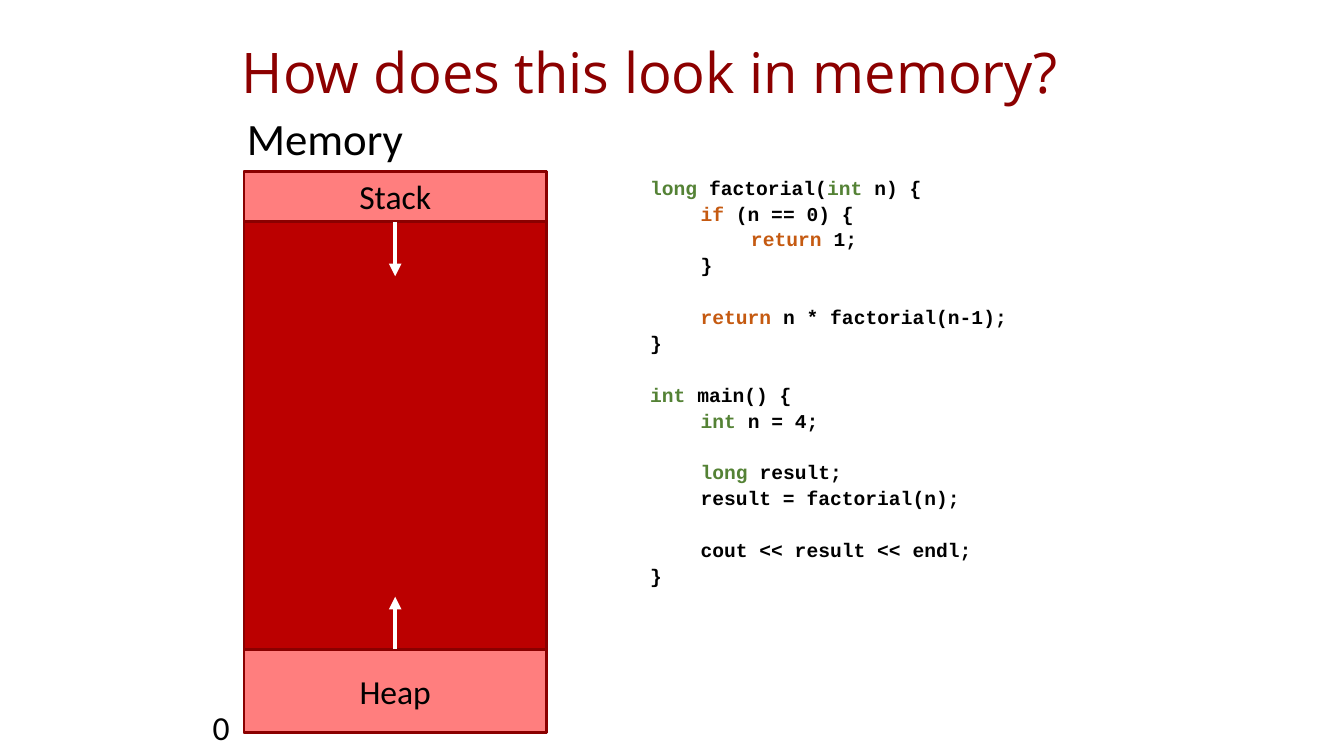
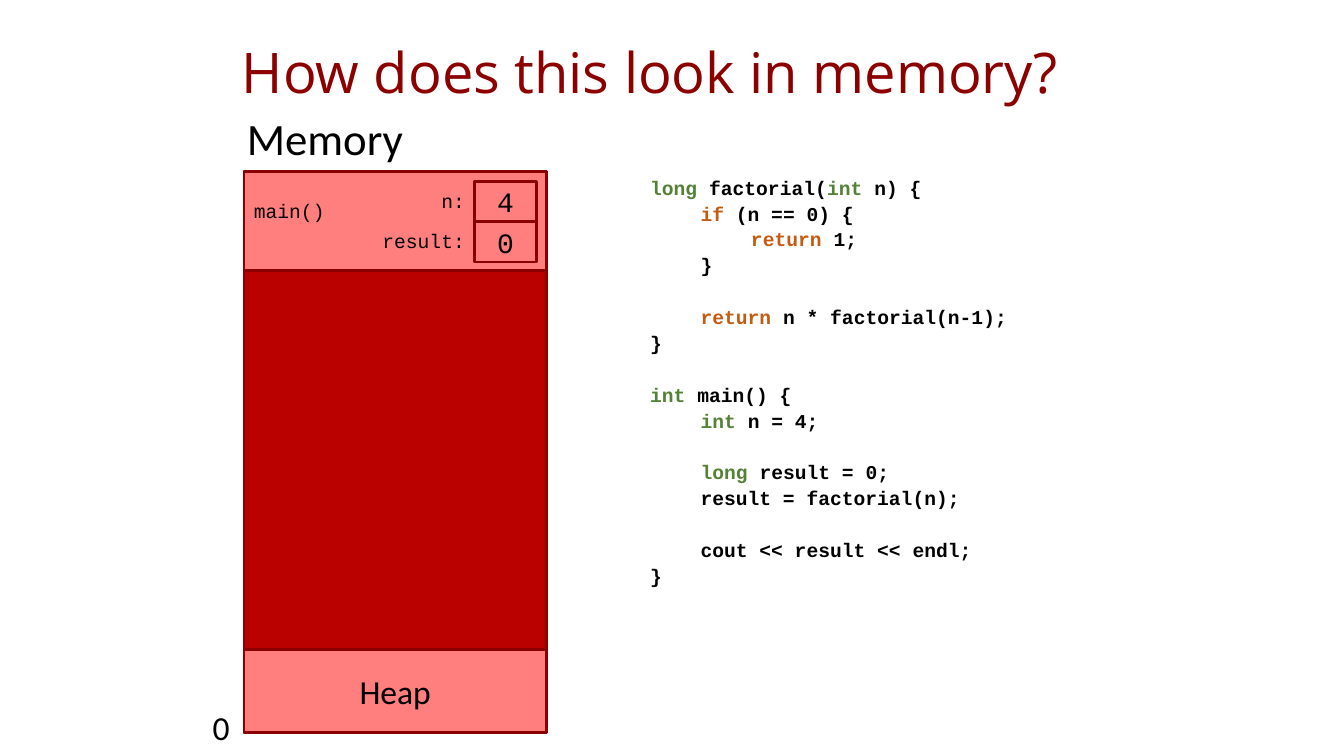
from lxml.etree import SubElement as Sub
from pptx import Presentation as Deck
from pptx.dml.color import RGBColor as Rgb
from pptx.enum.shapes import MSO_CONNECTOR as Link, MSO_SHAPE as Form
from pptx.enum.text import MSO_ANCHOR as Anchor, PP_ALIGN as Align
from pptx.oxml.ns import qn
from pptx.util import Inches, Pt

UNIT = Inches(0.1)
SANS, MONO, HEAD = "Calibri", "Courier New", "Open Sans"
BLACK, WHITE = "000000", "FFFFFF"
EDGE, DARK, PINK, TITLE = "8A0000", "BB0000", "FF7E7E", "8C0000"
GREEN, RUST = "548235", "C55A11"
KEYS = {"long": GREEN, "int": GREEN, "if": RUST, "return": RUST}

NAME = (23.5, 2.9, 86.2, 9.2)
LABEL = (23.5, 11.1, 33.4, 7)
MEMORY = (24.2, 17, 30, 55.7)
ZERO = (20.1, 69.6, 3.7, 5)
CODE = (63.5, 16.7, 54.2, 54.3)
HEAP = (0, 47.4, 30, 8.3)
GAP = 18.5


def tint(text):
    """Turn a hex string into a colour."""
    return Rgb.from_string(text)


def inside(box, left, top, wide, high):
    """Give the grid box that lies at an offset within another."""
    return box[0] + left, box[1] + top, wide, high


def span(box):
    """Turn a grid box into slide lengths."""
    return [round(part * UNIT) for part in box]


def style(run, font, size, hue=BLACK, bold=False):
    """Format one run."""
    run.font.name, run.font.size, run.font.bold = font, Pt(size), bold
    run.font.color.rgb = tint(hue)


def write(shape, text, font, size, hue=BLACK, align=Align.LEFT, anchor=Anchor.MIDDLE):
    """Set a one-line text and return its paragraph."""
    frame = shape.text_frame
    frame.text = text
    frame.vertical_anchor = anchor
    para = frame.paragraphs[0]
    para.alignment = align
    style(para.runs[0], font, size, hue)
    return para


def block(slide, box, fill=None):
    """Draw an edged rectangle, hollow when no fill is given."""
    shape = slide.shapes.add_shape(Form.RECTANGLE, *span(box))
    shape.shadow.inherit = False
    if fill:
        shape.fill.solid()
        shape.fill.fore_color.rgb = tint(fill)
    else:
        shape.fill.background()
    shape.line.color.rgb = tint(EDGE)
    shape.line.width = Pt(2)
    return shape


def note(slide, box, wrap=True):
    """Add an empty text box."""
    shape = slide.shapes.add_textbox(*span(box))
    shape.text_frame.word_wrap = wrap
    return shape


def arrow(slide, shape, site, reach):
    """Point a white arrow up or down from the middle of a side."""
    mid = shape.left + shape.width // 2
    start = shape.top + (shape.height if site == 2 else 0)
    line = slide.shapes.add_connector(Link.STRAIGHT, mid, start, mid, start + round(reach * UNIT))
    line.begin_connect(shape, site)
    line.line.color.rgb = tint(WHITE)
    line.line.width = Pt(3)
    Sub(line.line._get_or_add_ln(), qn("a:tailEnd"), type="triangle")
    Sub(line._element.spPr, qn("a:effectLst"))


def header(slide, box, text):
    """Place the title."""
    title = slide.shapes.title
    title.left, title.top, title.width, title.height = span(box)
    para = write(title, text, HEAD, 40, TITLE)
    para.line_spacing = 0.9
    frame = title.text_frame
    frame.margin_left = frame.margin_right = Inches(0.05)
    frame.margin_top = frame.margin_bottom = Inches(0.05)


def memory(slide, box):
    """Draw the memory column with its captions and return the heap."""
    block(slide, box, DARK)
    heap = block(slide, inside(box, *HEAP), PINK)
    write(heap, "Heap", SANS, 24, align=Align.CENTER)
    write(note(slide, ZERO, False), "0", SANS, 24, anchor=Anchor.TOP)
    para = write(note(slide, LABEL), "Memory", SANS, 32, anchor=Anchor.TOP)
    para.line_spacing, para.space_before = 0.9, Pt(10)
    return heap


def stack(slide, box, heap):
    """Draw the empty stack and both growth arrows."""
    top = block(slide, inside(box, 0, 0, box[2], 5), PINK)
    write(top, "Stack", SANS, 24, align=Align.CENTER)
    arrow(slide, top, 2, 5.4)
    arrow(slide, heap, 0, -5.2)


def call(slide, box, name, values):
    """Draw a stack frame with one row for each variable."""
    top = block(slide, inside(box, 0, 0, box[2], 9.8), PINK)
    write(top, name, MONO, 14)
    top.text_frame.margin_bottom = Inches(0.25)
    for row, (key, value) in enumerate(values):
        high = 1 + 4 * row
        cell = block(slide, inside(box, 22.9, high, 6.1, 4))
        write(cell, value, MONO, 20, align=Align.CENTER)
        label = note(slide, inside(box, 9.8, high, 13.1, 3.8))
        write(label, key, MONO, 14, align=Align.RIGHT)


def code(slide, box, parts):
    """Write code groups, with a gap between groups and bars between runs."""
    frame = note(slide, box).text_frame
    para = None
    for group in parts:
        for row, (depth, line) in enumerate(group):
            fresh = para is None
            para = frame.paragraphs[0] if fresh else frame.add_paragraph()
            para.line_spacing = 1.1
            para.space_before = Pt(0 if row or fresh else GAP)
            para._p.get_or_add_pPr().set("marL", str(depth * Inches(0.5)))
            for word in line.split("|"):
                run = para.add_run()
                run.text = word
                style(run, MONO, 14, KEYS.get(word, BLACK), True)


def source(init):
    """List the code, with the given end of the result line."""
    return [
        [(0, "long| factorial(|int| n) {"), (1, "if| (n == 0) {"), (2, "return| 1;"), (1, "}")],
        [(1, "return| n * factorial(n-1);"), (0, "}")],
        [(0, "int| main() {"), (1, "int| n = 4;")],
        [(1, "long| result" + init), (1, "result = factorial(n);")],
        [(1, "cout << result << endl;"), (0, "}")],
    ]


def page(deck, init, values=None):
    """Build a slide showing an empty stack or the frame of main."""
    slide = deck.slides.add_slide(deck.slide_layouts[5])
    header(slide, NAME, "How does this look in memory?")
    heap = memory(slide, MEMORY)
    if values:
        call(slide, MEMORY, "main()", values)
    else:
        stack(slide, MEMORY, heap)
    code(slide, CODE, source(init))


def main():
    """Build and save the deck."""
    deck = Deck()
    deck.slide_width, deck.slide_height = Inches(13.33), Inches(7.5)
    page(deck, ";")
    page(deck, " = 0;", [("n:", "4"), ("result:", "0")])
    deck.save("out.pptx")


if __name__ == "__main__":
    main()
